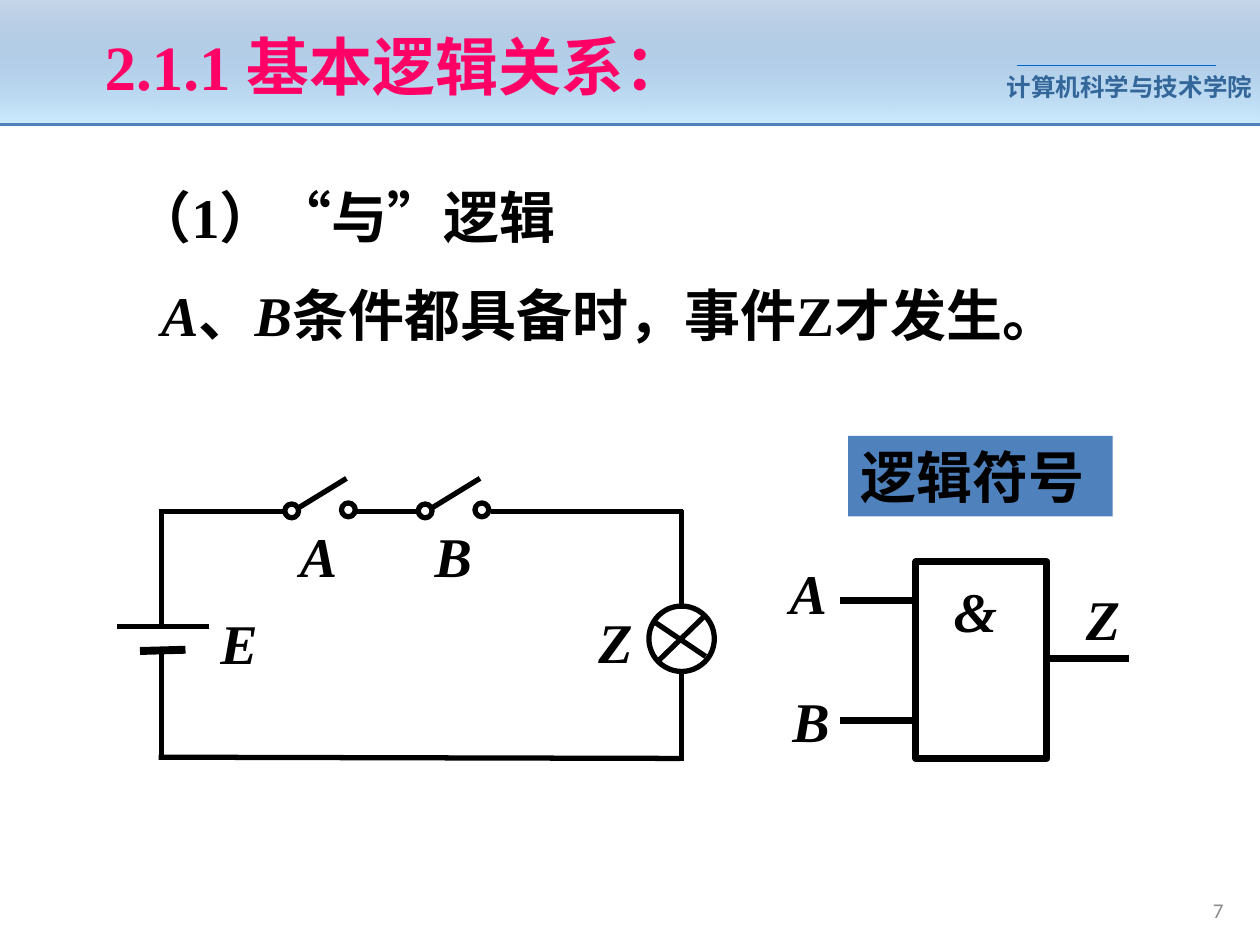
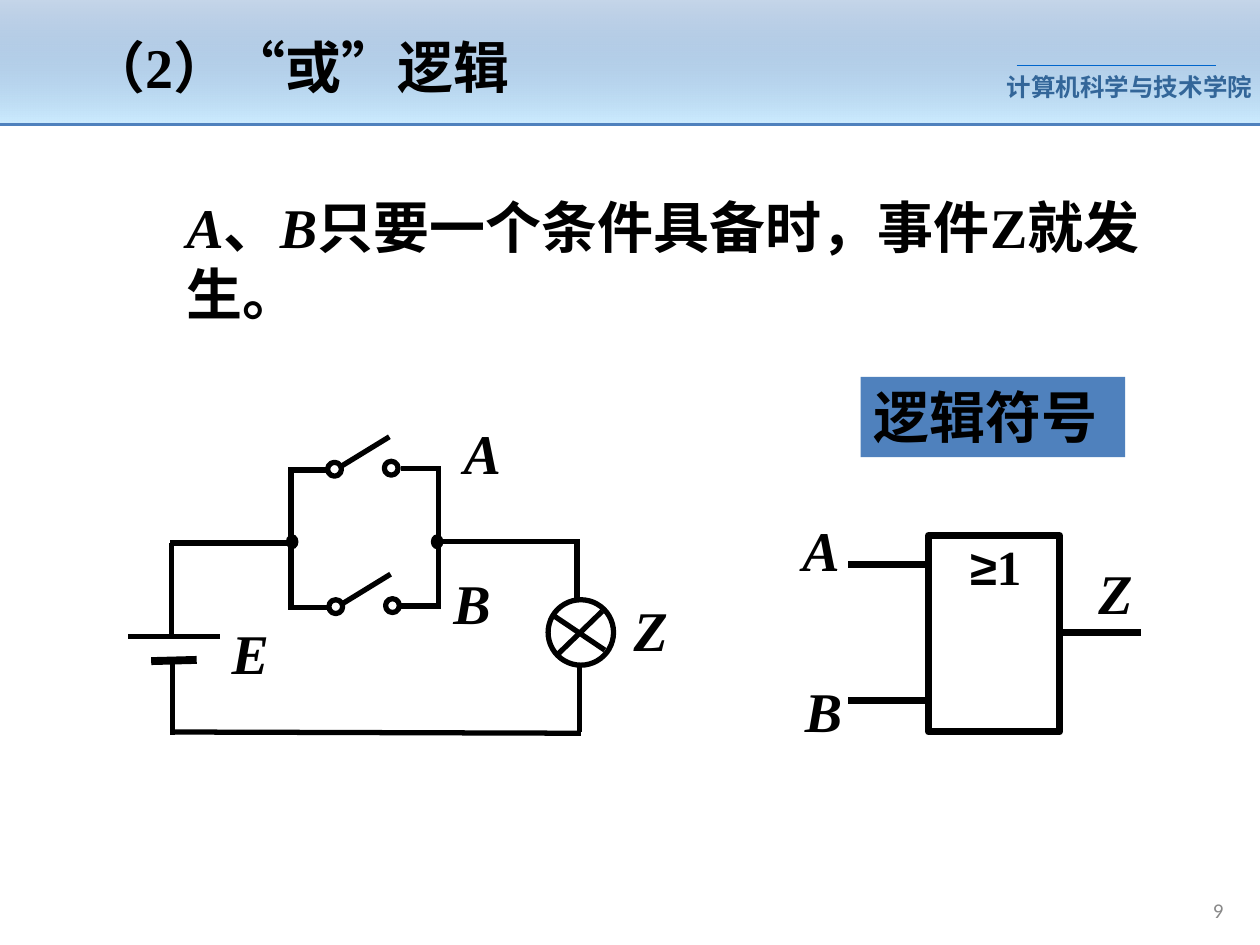
from lxml import etree
from pptx import Presentation
from pptx.dml.color import RGBColor
from pptx.enum.shapes import MSO_CONNECTOR, MSO_SHAPE
from pptx.enum.text import MSO_ANCHOR, MSO_AUTO_SIZE, PP_ALIGN
from pptx.oxml.ns import qn
from pptx.util import Pt

LINE = MSO_CONNECTOR.STRAIGHT
RECT, OVAL = MSO_SHAPE.RECTANGLE, MSO_SHAPE.OVAL
TOP, MID = MSO_ANCHOR.TOP, MSO_ANCHOR.MIDDLE
LEFT, MIDDLE, RIGHT = PP_ALIGN.LEFT, PP_ALIGN.CENTER, PP_ALIGN.RIGHT

HEX = {"ink": "000000", "pink": "FF0066", "blue": "4F81BD", "sky": "CCECFF",
       "steel": "336699", "rule": "0066CC", "gray": "898989"}

BASE = {"name": "Times New Roman", "size": 32, "bold": True, "italic": False, "color": "ink"}
VAR = {"italic": True}
HEAD = {"size": 36, "color": "pink"}
SCHOOL = {"name": "Arial", "size": 14, "color": "steel"}
PAGE = {"name": "Calibri", "size": 12, "bold": False, "color": "gray"}
SIGN = {"size": 28}

SLIDES = [
    {
        "page": "7",
        "title": {"box": (52.6, 12.2, 355.7, 50.4), "runs": [("2.1.1 基本逻辑关系：", HEAD)],
                  "align": LEFT, "wrap": False},
        "texts": [
            {"box": (57.6, 100.8, 280.1, 46), "runs": [("（1）“与”逻辑", {})], "align": MIDDLE},
            {"box": (54.7, 157, 587.5, 45.4), "align": MIDDLE,
             "runs": [("A", VAR), ("、", {}), ("B", VAR), ("条件都具备时，事件Z才发生。", {})]},
        ],
        "tag": (484.6, 249.1),
        "cell": (67, 357.8),
        "lamp": (370.8, 346.3),
        "switches": [(162.7, 288), (239, 288)],
        "wires": [
            (92.2, 290.9, 92.2, 357.8), (92.2, 371.5, 92.2, 433.4),
            (92.2, 292.3, 162.7, 292.3), (201.6, 292.3, 238.3, 292.3),
            (280.8, 292.3, 390.2, 292.3), (389.5, 291.6, 389.5, 347.8),
            (389.5, 383, 389.5, 434.9), (90.7, 432.7, 388.8, 433.4),
        ],
        "labels": [("Z", 334.8, 343.4), ("A", 164.2, 294.5), ("B", 241.2, 294.5)],
        "dots": [],
        "gate": {"at": (523.4, 321.1), "start": 480.2,
                 "inputs": [("A", 343.4, 444.2, 315.4), ("B", 411.8, 445.7, 388.8)],
                 "sign": [("&", VAR)], "shift": (14.4, 5)},
    },
    {
        "page": "9",
        "title": {"box": (31, 15.1, 280.1, 46), "runs": [("（2）“或”逻辑", {})], "align": MIDDLE},
        "texts": [
            {"box": (99.4, 106.6, 589.7, 83.5),
             "runs": [("A", VAR), ("、", {}), ("B", VAR), ("只要一个条件具备时，事件Z就发生。", {})]},
        ],
        "tag": (491.8, 215.3),
        "cell": (73.4, 363.6),
        "lamp": (313.2, 342.7),
        "switches": [(187.2, 264.2), (187.9, 342.7)],
        "wires": [
            (97.9, 362.2, 97.9, 310.3), (97.2, 310.3, 167.8, 310.3),
            (166.3, 267.1, 166.3, 348.5), (165.6, 268.6, 187.9, 268.6),
            (165.6, 347, 187.9, 347), (250.6, 266.4, 250.6, 347.8),
            (251.3, 267.8, 229, 267.8), (251.3, 346.3, 229, 346.3),
            (249.8, 309.6, 331.2, 309.6), (98.6, 376.6, 98.6, 419.8),
            (97.9, 418.3, 331.9, 419), (329.8, 308.2, 329.8, 342),
            (331.2, 379.4, 331.2, 418.3),
        ],
        "labels": [("A", 257.8, 235.4), ("Z", 355, 337), ("B", 252, 321.1)],
        "dots": [(246.2, 305.3), (163.4, 305.3)],
        "gate": {"at": (530.6, 306), "start": 484.6,
                 "inputs": [("A", 322.6, 451.4, 290.9), ("B", 400.3, 452.9, 383)],
                 "sign": [("≥", {**SIGN, "name": "Arial"}), ("1", SIGN)], "shift": (16.6, -2.9)},
    },
]


def tint(name):
    return RGBColor.from_string(HEX[name])


def place(shape, box):
    for key, val in zip(("left", "top", "width", "height"), box):
        setattr(shape, key, Pt(val))


def write(shape, runs, align=LEFT, wrap=True, anchor=TOP, inset=7.2):
    frame = shape.text_frame
    form = {"auto_size": MSO_AUTO_SIZE.NONE, "word_wrap": wrap, "vertical_anchor": anchor,
            "margin_left": Pt(inset), "margin_right": Pt(inset),
            "margin_top": Pt(3.6), "margin_bottom": Pt(3.6)}
    for key, val in form.items():
        setattr(frame, key, val)
    para = frame.paragraphs[0]
    para.alignment = align
    for text, style in runs:
        run = para.add_run()
        run.text = text
        for key, val in {**BASE, **style}.items():
            if key == "color":
                run.font.color.rgb = tint(val)
            else:
                setattr(run.font, key, Pt(val) if key == "size" else val)


def note(shapes, box, runs, **form):
    write(shapes.add_textbox(*map(Pt, box)), runs, **form)


def label(shapes, text, x, y):
    note(shapes, (x, y, 37, 46), [(text, VAR)])


def wire(shapes, ends, width=3, color="ink"):
    line = shapes.add_connector(LINE, *map(Pt, ends))
    line.line.width = Pt(width)
    line.line.color.rgb = tint(color)
    etree.SubElement(line.element.spPr, qn("a:effectLst"))


def solid(shapes, kind, box, fill=None, edge=0):
    shape = shapes.add_shape(kind, *map(Pt, box))
    shape.shadow.inherit = False
    if fill:
        shape.fill.solid()
        shape.fill.fore_color.rgb = tint(fill)
    else:
        shape.fill.background()
    if edge:
        shape.line.width = Pt(edge)
        shape.line.color.rgb = tint("ink")
    else:
        shape.line.fill.background()
    return shape


def frame(slide, page):
    shapes = slide.shapes
    band = solid(shapes, RECT, (0, 0, 720, 71.3))
    band.fill.gradient()
    band.fill.gradient_angle = 270
    for stop, pos, name in zip(band.fill.gradient_stops, (0, 1), ("blue", "sky")):
        stop.position = pos
        stop.color.rgb = tint(name)
    first = next(band.element.iter(qn("a:srgbClr")))
    etree.SubElement(first, qn("a:alpha"), val="32000")
    note(shapes, (575.3, 37.4, 141.8, 24.5), [("计算机科学与技术学院", SCHOOL)], inset=0)
    wire(shapes, (581, 37.4, 694.8, 37.4), 0.75, "rule")
    wire(shapes, (0, 71.3, 720, 71.3), 1.5, "blue")
    note(shapes, (547.2, 508.3, 159.1, 23), [(page, PAGE)], align=RIGHT, anchor=MID)


def cell(shapes, x, y):
    wire(shapes, (x, y, x + 52.4, y))
    wire(shapes, (x + 13, y + 14.2, x + 39, y + 13.5), 4.5)
    label(shapes, "E", x + 51.8, y - 13.7)


def switch(shapes, x, y):
    for dx, dy in ((0, 0), (32.4, -0.6)):
        solid(shapes, OVAL, (x + dx, y + dy, 7.9, 7.9), edge=3)
    wire(shapes, (x + 7.9, y + 2.2, x + 35.3, y - 14.6))


def lamp(shapes, x, y):
    solid(shapes, OVAL, (x, y, 37.4, 37.4), edge=3)
    wire(shapes, (x + 3.6, y + 9.4, x + 32.4, y + 28.8))
    wire(shapes, (x + 31, y + 6.5, x + 5, y + 31.7))


def gate(shapes, at, start, inputs, sign, shift):
    x, y = at
    solid(shapes, RECT, (x, y, 74.9, 112.3), edge=4)
    note(shapes, (x + shift[0], y + shift[1], 44.6, 46), sign)
    for name, level, left, top in inputs:
        wire(shapes, (start, level, x, level), 4)
        label(shapes, name, left, top)
    wire(shapes, (x + 76.5, y + 55.4, x + 121.6, y + 55.4), 4)
    label(shapes, "Z", x + 90, y + 9.4)


def draw(deck, data):
    slide = deck.slides.add_slide(deck.slide_layouts[5])
    frame(slide, data["page"])
    title, form = slide.shapes.title, dict(data["title"])
    place(title, form.pop("box"))
    write(title, **form)
    title.element.getparent().append(title.element)
    for text in data["texts"]:
        note(slide.shapes, **text)
    tag = solid(slide.shapes, RECT, (*data["tag"], 151.2, 46), "blue")
    write(tag, [("逻辑符号", {})])

    plan = slide.shapes.add_group_shape().shapes
    for ends in data["wires"]:
        wire(plan, ends)
    cell(plan, *data["cell"])
    lamp(plan, *data["lamp"])
    for spot in data["switches"]:
        switch(plan, *spot)
    for item in data["labels"]:
        label(plan, *item)
    for x, y in data["dots"]:
        solid(plan, OVAL, (x, y, 7.2, 8.6), "ink")
    gate(slide.shapes.add_group_shape().shapes, **data["gate"])


def main():
    deck = Presentation()
    deck.slide_width, deck.slide_height = Pt(720), Pt(540)
    for data in SLIDES:
        draw(deck, data)
    deck.save("out.pptx")


if __name__ == "__main__":
    main()
